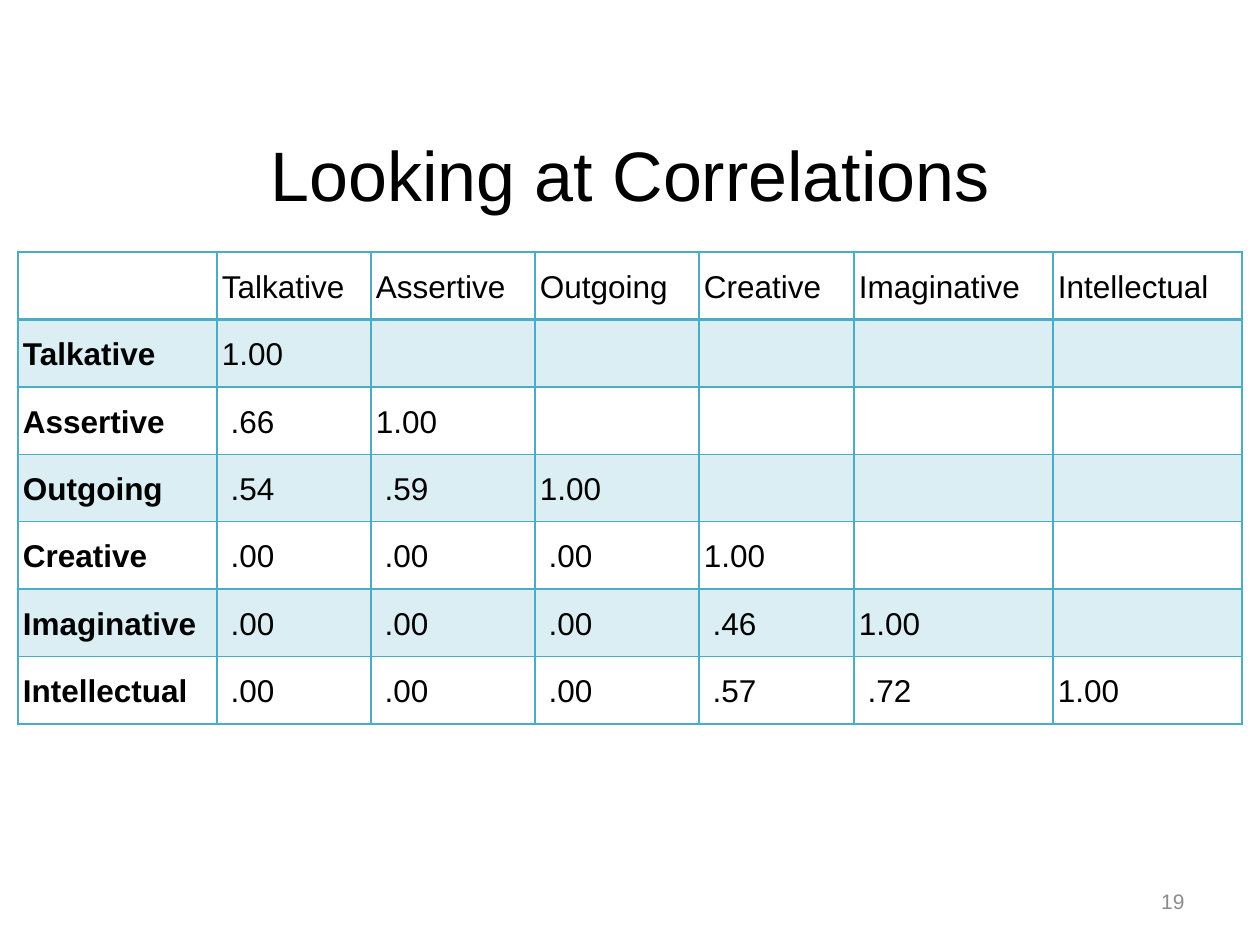
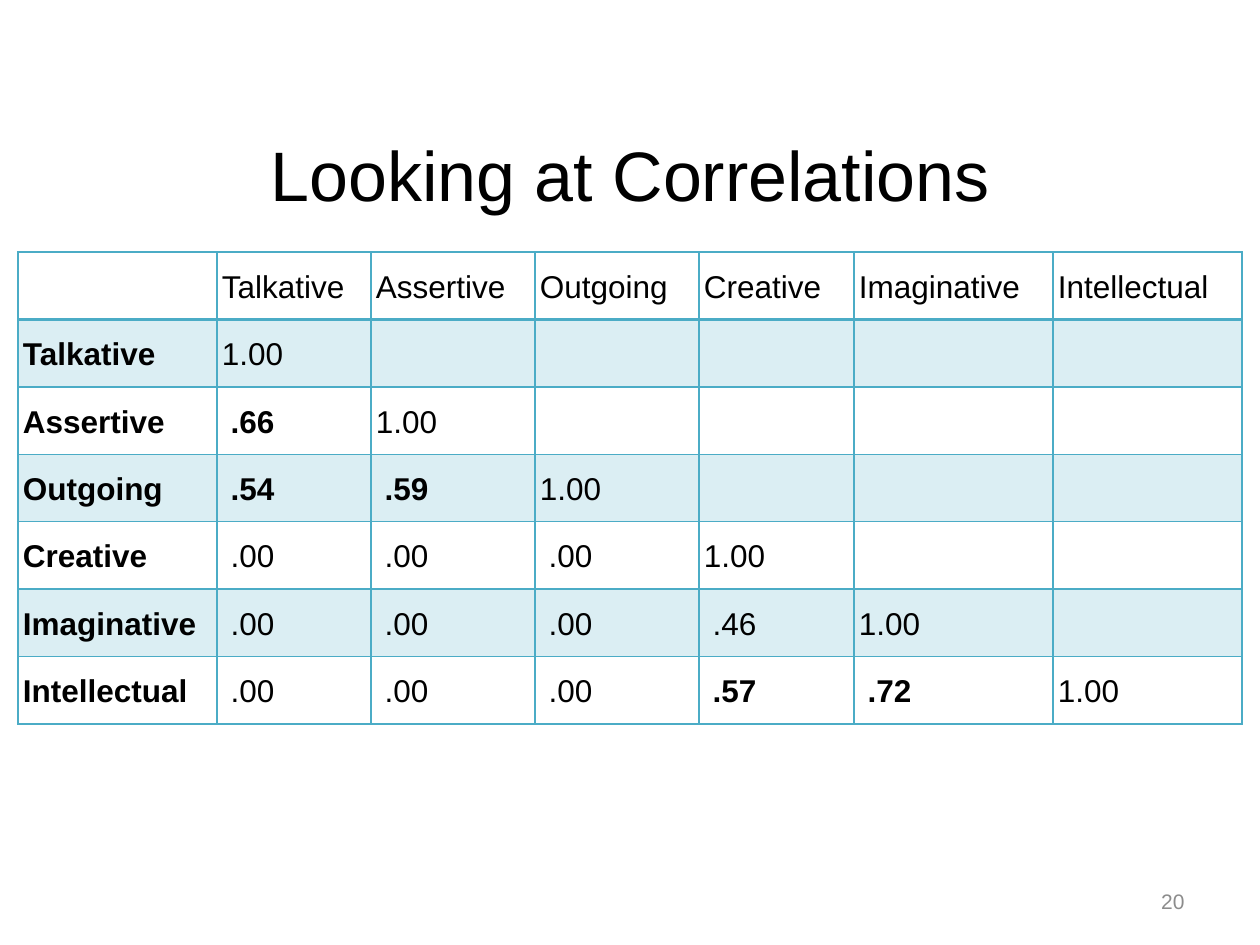
from dataclasses import dataclass

from lxml.etree import SubElement
from pptx import Presentation
from pptx.dml.color import RGBColor
from pptx.enum.text import MSO_ANCHOR, PP_ALIGN
from pptx.oxml import parse_xml
from pptx.oxml.ns import nsdecls, qn
from pptx.util import Emu, Pt


@dataclass(frozen=True)
class Theme:
    font: str = "Arial"
    text: str = "000000"
    accent: str = "4BACC6"
    muted: str = "8C8C8C"
    band_opacity: int = 20
    title_size: int = 40
    table_size: int = 18
    number_size: int = 12
    rule: int = 1
    header_rule: int = 2


THEME = Theme()
PX_PER_INCH = 126
TITLE_ONLY = 5

# Boxes are left, top, width, height in px
SLIDE_SIZE = (1260, 945)
TITLE_BOX = (63, 94, 1134, 158)
TABLE_BOX = (18, 252, 1224, 472)
NUMBER_BOX = (1134, 876, 63, 50)

COLUMN_WIDTHS = (199, 154, 164, 164, 155, 199, 189)
CELL_INSET = 5

TITLE = "Looking at Correlations"
TRAITS = ("Talkative", "Assertive", "Outgoing", "Creative", "Imaginative", "Intellectual")
CORRELATIONS = (
    ("1.00",),
    (" .66", "1.00"),
    (" .54", " .59", "1.00"),
    (" .00", " .00", " .00", "1.00"),
    (" .00", " .00", " .00", " .46", "1.00"),
    (" .00", " .00", " .00", " .57", " .72", "1.00"),
)
STRONG = 0.5


def px(length):
    return Emu(round(length * 914400 / PX_PER_INCH))


def place(part, box):
    part.left, part.top, part.width, part.height = map(px, box)


def style_text(paragraph, size, color, bold=False):
    for run in paragraph.runs:
        run.font.name = THEME.font
        run.font.size = Pt(size)
        run.font.bold = bold
        run.font.color.rgb = RGBColor.from_string(color)


def add_title(slide, box):
    title = slide.shapes.title
    place(title, box)
    frame = title.text_frame
    frame.text = TITLE
    frame.vertical_anchor = MSO_ANCHOR.MIDDLE
    frame.paragraphs[0].alignment = PP_ALIGN.CENTER
    style_text(frame.paragraphs[0], THEME.title_size, THEME.text)


def add_number(slide, box, number):
    frame = slide.shapes.add_textbox(*map(px, box)).text_frame
    frame.word_wrap = True
    frame.vertical_anchor = MSO_ANCHOR.MIDDLE
    frame.text = str(number)
    frame.paragraphs[0].alignment = PP_ALIGN.RIGHT
    style_text(frame.paragraphs[0], THEME.number_size, THEME.muted)


def fill_cell(cell, banded):
    if not banded:
        cell.fill.background()
        return
    cell.fill.solid()
    cell.fill.fore_color.rgb = RGBColor.from_string(THEME.accent)
    tint = cell._tc.tcPr.find(".//" + qn("a:srgbClr"))
    SubElement(tint, qn("a:alpha")).set("val", str(THEME.band_opacity * 1000))


def border_cell(cell, row):
    # The rule under the header belongs to both rows that meet there
    widths = {
        "L": THEME.rule,
        "R": THEME.rule,
        "T": THEME.header_rule if row == 1 else THEME.rule,
        "B": THEME.header_rule if row == 0 else THEME.rule,
    }
    for position, (side, width) in enumerate(widths.items()):
        border = parse_xml(
            f'<a:ln{side} {nsdecls("a")} w="{Pt(width)}"><a:solidFill>'
            f'<a:srgbClr val="{THEME.accent}"/></a:solidFill></a:ln{side}>'
        )
        cell._tc.tcPr.insert(position, border)


def write_cell(cell, text, row, bold):
    cell.margin_left = cell.margin_right = px(CELL_INSET)
    cell.margin_top = cell.margin_bottom = 0
    cell.vertical_anchor = MSO_ANCHOR.TOP
    if not text:
        return
    cell.text_frame.text = text
    paragraph = cell.text_frame.paragraphs[0]
    paragraph.line_spacing = 1.5
    if row > 0:
        paragraph.space_after = Pt(12)
    style_text(paragraph, THEME.table_size, THEME.text, bold)


def add_correlations(slide, box, highlight):
    rows = [("", *TRAITS)]
    for trait, values in zip(TRAITS, CORRELATIONS):
        blanks = ("",) * (len(TRAITS) - len(values))
        rows.append((trait, *values, *blanks))

    table = slide.shapes.add_table(len(rows), len(COLUMN_WIDTHS), *map(px, box)).table
    table.first_row = table.horz_banding = False
    for column, width in zip(table.columns, COLUMN_WIDTHS):
        column.width = px(width)

    for r, texts in enumerate(rows):
        table.rows[r].height = px(box[3] / len(rows))
        for c, text in enumerate(texts):
            cell = table.cell(r, c)
            is_label = r > 0 and c == 0
            is_pair = 0 < c < r
            bold = is_label or (highlight and is_pair and float(text) > STRONG)
            write_cell(cell, text, r, bold)
            fill_cell(cell, banded=r % 2 == 1)
            border_cell(cell, r)


def add_correlation_slide(deck, number, highlight):
    slide = deck.slides.add_slide(deck.slide_layouts[TITLE_ONLY])
    add_title(slide, TITLE_BOX)
    add_correlations(slide, TABLE_BOX, highlight)
    add_number(slide, NUMBER_BOX, number)


def main():
    deck = Presentation()
    deck.slide_width, deck.slide_height = map(px, SLIDE_SIZE)
    add_correlation_slide(deck, 19, highlight=False)
    add_correlation_slide(deck, 20, highlight=True)
    deck.save("out.pptx")


if __name__ == "__main__":
    main()
